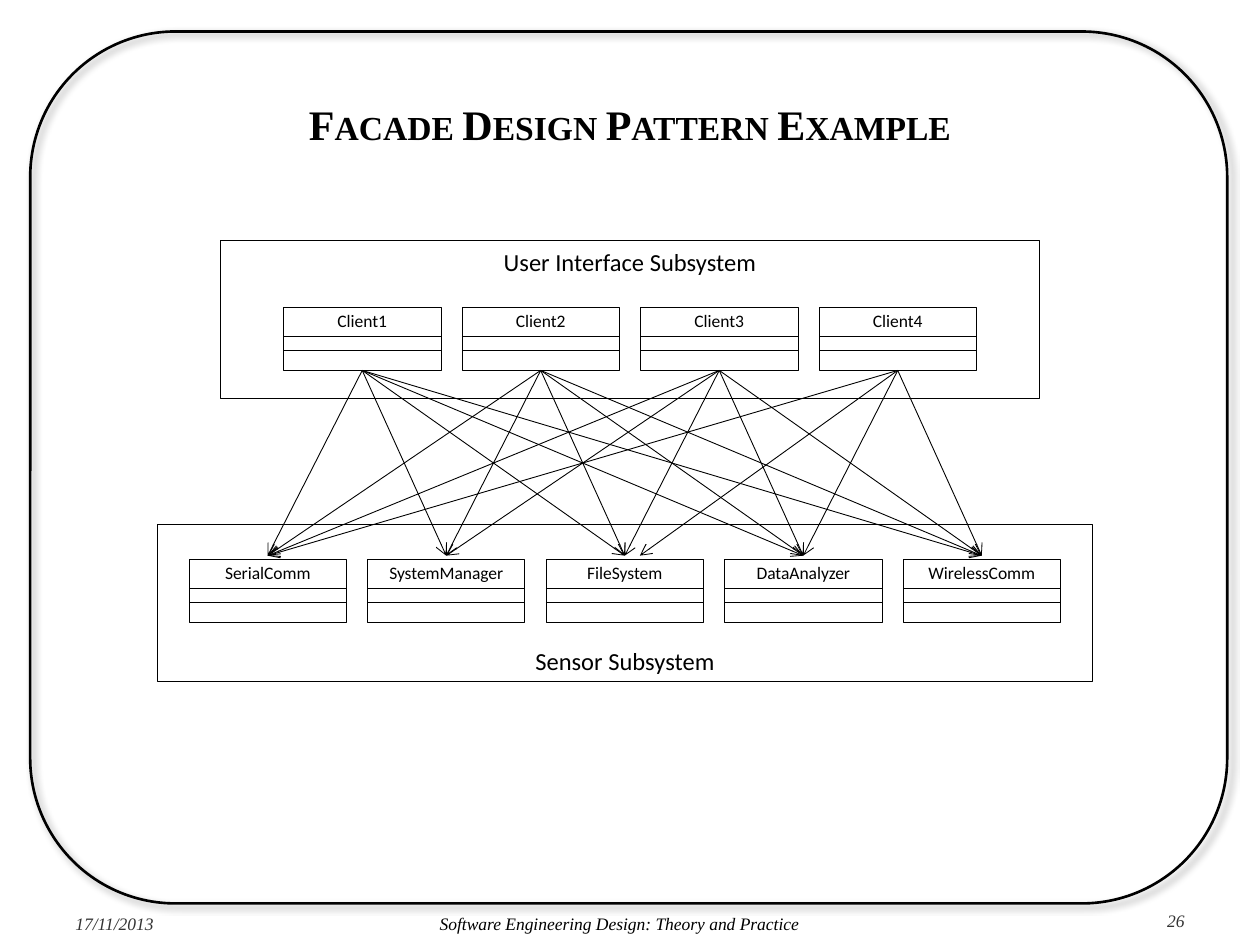
import pptx
import pptx.util
import pptx.dml.color
import pptx.enum.shapes
import pptx.enum.text
import pptx.oxml
import pptx.oxml.ns
from lxml import etree

BLACK = pptx.dml.color.RGBColor(0x00, 0x00, 0x00)
GRAY = pptx.dml.color.RGBColor(0x33, 0x33, 0x33)
SERIF = "Times New Roman"
SANS = "Calibri"
ALIGN = pptx.enum.text.PP_ALIGN
SHAPE = pptx.enum.shapes.MSO_SHAPE
WIDTH, HEIGHT = 10, 7.5

CLASS_WIDTH, CLASS_HEIGHT = 1.25, 0.5
COLUMN_STEP = CLASS_WIDTH + 1 / 6
NAME_RISE = 0.03
CLIENT_LEFT, CLIENT_TOP = 2.25, 2.44
SENSOR_LEFT, SENSOR_TOP = 1.5, 4.44
CLIENTS = ["Client1", "Client2", "Client3", "Client4"]
SENSORS = ["SerialComm", "SystemManager", "FileSystem", "DataAnalyzer", "WirelessComm"]
UNUSED = ("Client4", "SystemManager")
OFFSET_END = ("Client4", "FileSystem")

FRAME_SHADOW = (
    f'<a:effectLst {pptx.oxml.ns.nsdecls("a")}>'
    '<a:outerShdw blurRad="50800" dist="38100" dir="2700000" algn="tl" rotWithShape="0">'
    '<a:srgbClr val="000000"><a:alpha val="40000"/></a:srgbClr>'
    "</a:outerShdw></a:effectLst>"
)


def inches(*lengths):
    return [pptx.util.Inches(length) for length in lengths]


def style_text(paragraph, size, font_name, color, alignment, bold=False, italic=False):
    paragraph.alignment = alignment
    font = paragraph.font
    font.size = pptx.util.Pt(size)
    font.name = font_name
    font.bold = bold
    font.italic = italic
    font.color.rgb = color


def add_outline(shapes, box, preset=SHAPE.RECTANGLE, weight=0.5):
    shape = shapes.add_shape(preset, *inches(*box))
    shape.shadow.inherit = False
    shape.fill.background()
    shape.line.color.rgb = BLACK
    shape.line.width = pptx.util.Pt(weight)
    return shape


def add_frame(slide):
    frame = add_outline(slide.shapes, (0.24, 0.25, 9.5, 6.92), SHAPE.ROUNDED_RECTANGLE, 1.5)
    properties = frame.element.spPr
    properties.remove(properties.find(pptx.oxml.ns.qn("a:effectLst")))
    properties.append(pptx.oxml.parse_xml(FRAME_SHADOW))


def add_title(slide, text):
    title = slide.shapes.title
    title.left, title.top, title.width, title.height = inches(0.5, 0.55, 9, 0.87)
    title.text_frame.vertical_anchor = pptx.enum.text.MSO_ANCHOR.MIDDLE
    paragraph = title.text_frame.paragraphs[0]
    run = paragraph.add_run()
    run.text = text
    style_text(paragraph, 24, SERIF, BLACK, ALIGN.CENTER, bold=True)
    run.font.size = pptx.util.Pt(24)
    run._r.get_or_add_rPr().set("cap", "small")


def add_label(shapes, text, box, size, font_name=SANS, color=BLACK,
              alignment=ALIGN.CENTER, italic=False):
    label = shapes.add_textbox(*inches(*box))
    label.text_frame.word_wrap = True
    label.text_frame.text = text
    style_text(label.text_frame.paragraphs[0], size, font_name, color, alignment, italic=italic)
    return label


def add_line(shapes, start, end):
    line = shapes.add_connector(pptx.enum.shapes.MSO_CONNECTOR.STRAIGHT, *inches(*start, *end))
    line.line.color.rgb = BLACK
    line.line.width = pptx.util.Pt(0.5)
    etree.SubElement(line.element.spPr, pptx.oxml.ns.qn("a:effectLst"))
    return line


def add_class(slide, name, left, top):
    shapes = slide.shapes.add_group_shape().shapes
    body = add_outline(shapes, (left, top, CLASS_WIDTH, CLASS_HEIGHT))
    for offset in (0.23, 0.34):
        add_line(shapes, (left, top + offset), (left + CLASS_WIDTH, top + offset))
    heading = add_label(shapes, name, (left, top - NAME_RISE, CLASS_WIDTH, 0.27), 10)
    return body, heading


def add_class_row(slide, names, left, top):
    return {
        name: add_class(slide, name, left + column * COLUMN_STEP, top)
        for column, name in enumerate(names)
    }


def add_dependency(slide, client, sensor, client_body, sensor_heading):
    start = (CLIENT_LEFT + CLIENTS.index(client) * COLUMN_STEP + CLASS_WIDTH / 2,
             CLIENT_TOP + CLASS_HEIGHT)
    end_x = SENSOR_LEFT + SENSORS.index(sensor) * COLUMN_STEP + CLASS_WIDTH / 2
    is_offset = (client, sensor) == OFFSET_END
    if is_offset:
        end_x += 0.12
    arrow = add_line(slide.shapes, start, (end_x, SENSOR_TOP - NAME_RISE))
    arrow.begin_connect(client_body, 2)
    if not is_offset:
        arrow.end_connect(sensor_heading, 0)
    etree.SubElement(arrow.line._get_or_add_ln(), pptx.oxml.ns.qn("a:tailEnd"), type="arrow")


def add_footer(slide):
    footer_top = 0.96 * HEIGHT
    add_label(slide.shapes, "17/11/2013", (0.5, footer_top, 1.08, 0.3), 10,
              SERIF, GRAY, ALIGN.LEFT, True)
    add_label(slide.shapes, "Software Engineering Design: Theory and Practice",
              (1.58, footer_top, 6.67, 0.3), 10, SERIF, italic=True)
    add_label(slide.shapes, "26", (8.25, 7.17, 1.25, 0.33), 10,
              SERIF, GRAY, ALIGN.RIGHT, True)


def main():
    presentation = pptx.Presentation()
    presentation.slide_width, presentation.slide_height = inches(WIDTH, HEIGHT)
    slide = presentation.slides.add_slide(presentation.slide_layouts[5])
    add_frame(slide)
    add_title(slide, "Facade Design Pattern Example")
    add_footer(slide)
    sensors = add_class_row(slide, SENSORS, SENSOR_LEFT, SENSOR_TOP)
    clients = add_class_row(slide, CLIENTS, CLIENT_LEFT, CLIENT_TOP)
    add_outline(slide.shapes, (1.75, 1.91, 6.5, 1.25))
    add_outline(slide.shapes, (1.25, 4.16, 7.42, 1.25))
    add_label(slide.shapes, "Sensor Subsystem", (1.25, 5.08, 7.42, 0.34), 14)
    add_label(slide.shapes, "User Interface Subsystem", (1.75, 1.91, 6.5, 0.34), 14)
    for client, (client_body, _) in clients.items():
        for sensor, (_, sensor_heading) in sensors.items():
            if (client, sensor) != UNUSED:
                add_dependency(slide, client, sensor, client_body, sensor_heading)
    presentation.save("out.pptx")


if __name__ == "__main__":
    main()
